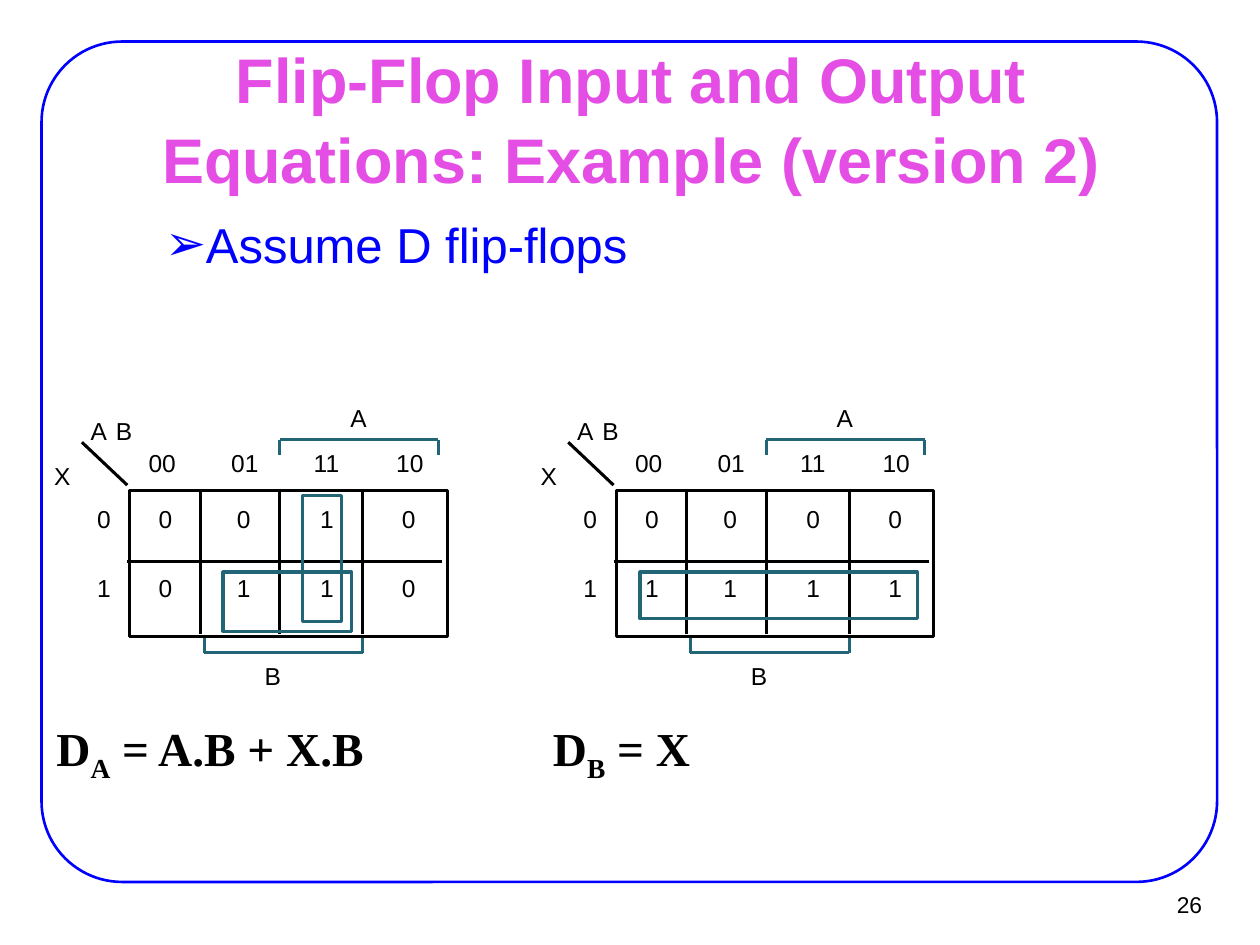
from lxml import etree
from pptx import Presentation
from pptx.dml.color import RGBColor
from pptx.enum.shapes import MSO_CONNECTOR, MSO_SHAPE
from pptx.enum.text import MSO_ANCHOR, MSO_AUTO_SIZE, PP_ALIGN
from pptx.oxml.ns import qn
from pptx.util import Inches, Pt

STRAIGHT = MSO_CONNECTOR.STRAIGHT
RECTANGLE = MSO_SHAPE.RECTANGLE
ROUNDED = MSO_SHAPE.ROUNDED_RECTANGLE
MIDDLE, TOP = MSO_ANCHOR.MIDDLE, MSO_ANCHOR.TOP
LEFT, CENTER, RIGHT = PP_ALIGN.LEFT, PP_ALIGN.CENTER, PP_ALIGN.RIGHT

BLACK = RGBColor(0x00, 0x00, 0x00)
BLUE = RGBColor(0x00, 0x00, 0xFF)
PINK = RGBColor(0xE4, 0x4E, 0xE4)
TEAL = RGBColor(0x22, 0x65, 0x77)

TITLE_FONT = {"name": "Arial", "size": Pt(36), "bold": True}
BODY_FONT = {"name": "Arial", "size": Pt(28), "bold": False}
LABEL_FONT = {"name": "Arial", "size": Pt(14)}
NUMBER_FONT = {"name": "Arial", "size": Pt(13)}
EQUATION_FONT = {"name": "Times New Roman", "size": Pt(27), "bold": True}

# Positions inside the left Karnaugh map; the right map is shifted
MAP_SHIFT = 3.86
COLUMN_CODES = ("00", "01", "11", "10")
COLUMN_LEFTS = (1.26, 1.88, 2.54, 3.19)
ROW_TOPS = (4.0, 4.55)
DIVIDERS = (1.59, 2.22, 2.88)


def format_font(font, values, color):
    for name, value in values.items():
        setattr(font, name, value)
    font.color.rgb = color


def place(shape, left, top, width, height):
    box = {"left": left, "top": top, "width": width, "height": height}
    for name, value in box.items():
        setattr(shape, name, Inches(value))


def set_frame(frame, anchor, wrap, side, edge):
    values = {
        "auto_size": MSO_AUTO_SIZE.NONE, "vertical_anchor": anchor, "word_wrap": wrap,
        "margin_left": Inches(side), "margin_right": Inches(side),
        "margin_top": Inches(edge), "margin_bottom": Inches(edge),
    }
    for name, value in values.items():
        setattr(frame, name, value)


def add_outline(slide, box, color, width=1.75, preset=RECTANGLE):
    shape = slide.shapes.add_shape(preset, *map(Inches, box))
    shape.shadow.inherit = False
    shape.fill.background()
    shape.line.color.rgb = color
    shape.line.width = Pt(width)
    return shape


def add_line(slide, x1, y1, x2, y2, color):
    line = slide.shapes.add_connector(STRAIGHT, *map(Inches, (x1, y1, x2, y2)))
    line.line.color.rgb = color
    line.line.width = Pt(1.75)
    etree.SubElement(line._element.spPr, qn("a:effectLst"))


def add_bracket(slide, left, right, bar, tip):
    add_line(slide, left, bar, right, bar, TEAL)
    for x in (left, right):
        add_line(slide, x, tip, x, bar, TEAL)


def add_text(slide, text, box, font, anchor=TOP, align=LEFT, insets=(0, 0)):
    frame = slide.shapes.add_textbox(*map(Inches, box)).text_frame
    set_frame(frame, anchor, False, *insets)
    paragraph = frame.paragraphs[0]
    paragraph.alignment = align
    run = paragraph.add_run()
    run.text = text
    format_font(run.font, font, BLACK)


def add_label(slide, text, left, top):
    add_text(slide, text, (left, top, 0.09 + 0.09 * len(text), 0.23), LABEL_FONT)


def add_equation(slide, subscript, right_side, left, width):
    frame = slide.shapes.add_textbox(*map(Inches, (left, 5.66, width, 0.55))).text_frame
    set_frame(frame, TOP, True, 0.1, 0.05)
    for text, baseline in (("D", 0), (subscript, -25000), (f" = {right_side}", 0)):
        run = frame.paragraphs[0].add_run()
        run.text = text
        format_font(run.font, EQUATION_FONT, BLACK)
        if baseline:
            run.font._element.set("baseline", str(baseline))


def add_karnaugh_map(slide, shift, rows, groups):
    # Grid
    add_outline(slide, (1.03 + shift, 3.89, 2.52, 1.16), BLACK)
    add_line(slide, 1.01 + shift, 4.455, 3.51 + shift, 4.455, BLACK)
    for x in DIVIDERS:
        add_line(slide, x + shift, 3.88, x + shift, 5.03, BLACK)
    add_line(slide, 1.01 + shift, 3.85, 0.65 + shift, 3.51, BLACK)

    # Variable brackets and names
    add_bracket(slide, 2.22 + shift, 3.48 + shift, 3.49, 3.61)
    add_bracket(slide, 1.62 + shift, 2.88 + shift, 5.18, 5.06)
    for text, left, top in (("A", 0.72, 3.3), ("B", 0.92, 3.3), ("A", 2.78, 3.2),
                            ("B", 2.1, 5.25), ("X", 0.43, 3.66)):
        add_label(slide, text, left + shift, top)

    # Column codes, row codes and cell values
    for column, code in enumerate(COLUMN_CODES):
        add_label(slide, code, 1.18 + 0.655 * column + shift, 3.56)
    for row, (top, values) in enumerate(zip(ROW_TOPS, rows)):
        add_label(slide, str(row), 0.77 + shift, top)
        for left, value in zip(COLUMN_LEFTS, values):
            add_label(slide, value, left + shift, top)

    # Grouped ones
    for left, top, width, height in groups:
        add_outline(slide, (left + shift, top, width, height), TEAL)


def fill_title(slide, text):
    title = slide.shapes.title
    place(title, 0.76, 0.68, 8.5, 0.49)
    set_frame(title.text_frame, MIDDLE, True, 0.11, 0.06)
    title.text_frame.text = text
    paragraph = title.text_frame.paragraphs[0]
    paragraph.alignment = CENTER
    paragraph.line_spacing = 1.05
    format_font(paragraph.runs[0].font, TITLE_FONT, PINK)


def fill_body(slide, text):
    body = slide.placeholders[1]
    place(body, 0.7, 1.64, 8.8, 0.94)
    set_frame(body.text_frame, TOP, True, 0.11, 0.06)
    body.text_frame.text = text
    paragraph = body.text_frame.paragraphs[0]
    paragraph.level = 1
    paragraph.space_before = Pt(0)
    properties = paragraph._p.get_or_add_pPr()
    properties.set("marL", str(Inches(0.81)))
    properties.set("indent", str(Inches(-0.31)))
    etree.SubElement(properties, qn("a:buChar")).set("char", "➢")
    format_font(paragraph.runs[0].font, BODY_FONT, BLUE)


def main():
    presentation = Presentation()
    presentation.slide_width = Inches(10)
    presentation.slide_height = Inches(7.5)
    slide = presentation.slides.add_slide(presentation.slide_layouts[1])

    # Frame, title and slide number
    frame = add_outline(slide, (0.33, 0.33, 9.33, 6.67), BLUE, 1.5, ROUNDED)
    frame.adjustments[0] = 0.096
    fill_title(slide, "Flip-Flop Input and Output Equations: Example (version 2)")
    fill_body(slide, "Assume D flip-flops")
    add_text(slide, "26", (9.02, 6.99, 0.61, 0.37), NUMBER_FONT,
             MIDDLE, RIGHT, (0.09, 0.04))

    # Karnaugh maps with their equations
    add_karnaugh_map(slide, 0, ("0010", "0110"),
                     [(2.4, 3.93, 0.31, 1), (1.77, 4.54, 1.02, 0.47)])
    add_equation(slide, "A", "A.B + X.B", 0.35, 3.7)
    add_karnaugh_map(slide, MAP_SHIFT, ("0000", "1111"), [(1.22, 4.54, 2.2, 0.37)])
    add_equation(slide, "B", "X", 4.29, 5.43)

    presentation.save("out.pptx")


if __name__ == "__main__":
    main()
